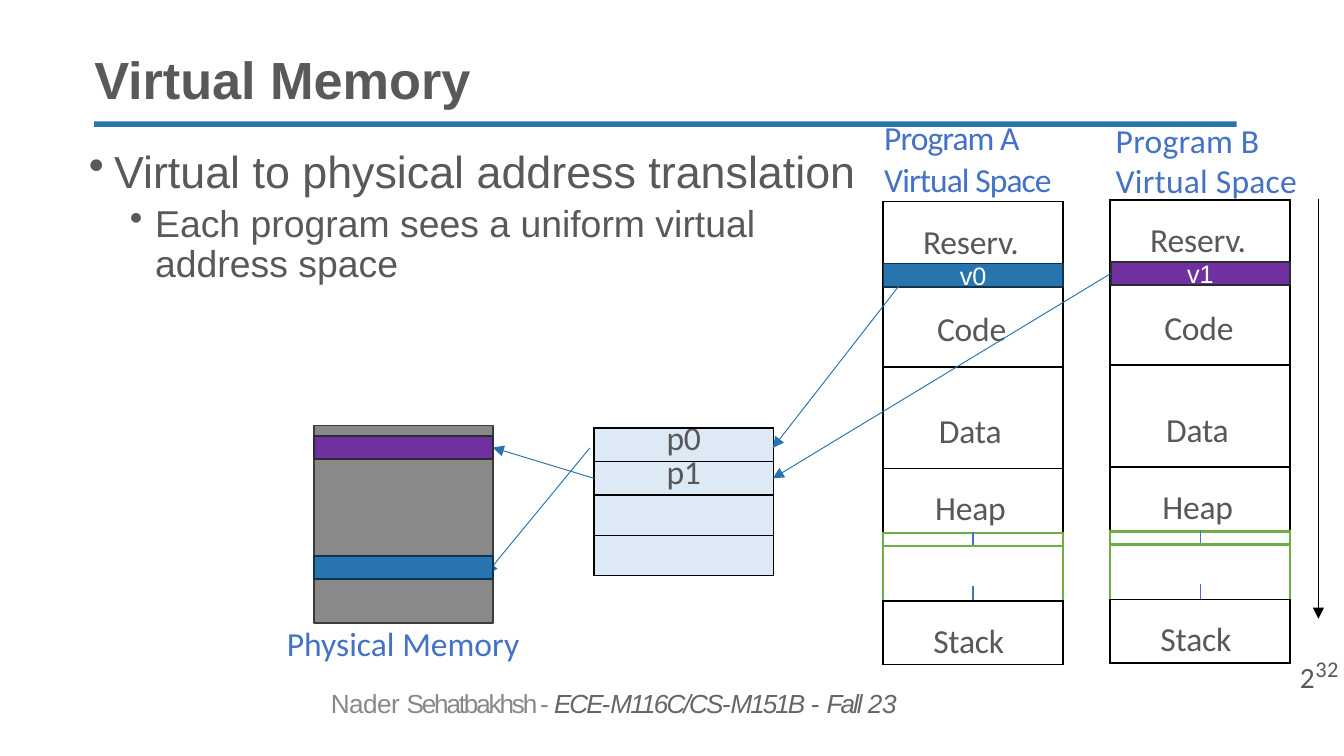
import pptx
import pptx.dml.color
import pptx.enum.shapes
import pptx.enum.text
import pptx.oxml
import pptx.oxml.ns
import pptx.util
from pptx.util import Pt

GREY, INK, BLUE, PURPLE, LABEL = "58595B", "57585B", "2774AE", "7030A0", "4472C4"
BLACK, GREEN = "000000", "70AD47"
BAR_LINES = {BLUE: "11334C", PURPLE: "2B2C2E"}
BAR_HEIGHT = 12.4

# height, label, label left, label top, outer colour, top colour, bottom colour, middle colour
SEGMENTS = [
    (34, "Reserv.", 21.5, 11, BLACK, BLACK, BLACK, None),
    (54.5, "Code", 29, 24, BLACK, BLACK, BLACK, None),
    (54.5, "Data", 30, 24, BLACK, BLACK, BLACK, None),
    (34.5, "Heap", 28, 11, BLACK, BLACK, GREEN, None),
    (7, "", 0, 0, GREEN, GREEN, GREEN, LABEL),
    (21.5, "", 0, 0, GREEN, GREEN, None, None),
    (8, "", 0, 0, GREEN, None, BLACK, LABEL),
    (34, "Stack", 27, 11, BLACK, BLACK, BLACK, None),
]


def rgb(value):
    """Turn a hex string into a colour."""
    return pptx.dml.color.RGBColor.from_string(value)


def format_run(run, size, name, color, spacing=0, bold=False, italic=False):
    """Give a run its font, colour and letter spacing."""
    run.font.size, run.font.name = Pt(size), name
    run.font.bold, run.font.italic = bold, italic
    run.font.color.rgb = rgb(color)
    if spacing:
        run._r.get_or_add_rPr().set("spc", str(round(spacing * 100)))


def set_margins(target, left=0, top=0, right=0, bottom=0):
    """Set the four insets of a text frame or a cell."""
    target.margin_left, target.margin_top = Pt(left), Pt(top)
    target.margin_right, target.margin_bottom = Pt(right), Pt(bottom)


def add_text(slide, left, top, width, height, text="", size=18, spacing=0, wrap=True):
    """Add a label box and return its text frame."""
    frame = slide.shapes.add_textbox(Pt(left), Pt(top), Pt(width), Pt(height)).text_frame
    frame.word_wrap = wrap
    set_margins(frame, left=0.7, top=0.7)
    frame.text = text
    for index, paragraph in enumerate(frame.paragraphs):
        paragraph.space_before = Pt(min(index, 1))
        for run in paragraph.runs:
            format_run(run, size, "Calibri", LABEL, spacing)
    return frame


def add_box(slide, left, top, width, height, fill, line=None):
    """Add a flat rectangle."""
    shape = slide.shapes.add_shape(
        pptx.enum.shapes.MSO_SHAPE.RECTANGLE, Pt(left), Pt(top), Pt(width), Pt(height))
    shape.shadow.inherit = False
    shape.fill.solid()
    shape.fill.fore_color.rgb = rgb(fill)
    if line:
        shape.line.color.rgb = rgb(line)
        shape.line.width = Pt(1)
    else:
        shape.line.fill.background()
    return shape


def add_page(slide, left, top, fill, text=""):
    """Add the coloured bar of one memory page."""
    shape = add_box(slide, left, top, 96, BAR_HEIGHT, fill, BAR_LINES[fill])
    if text:
        frame = shape.text_frame
        set_margins(frame)
        frame.vertical_anchor = pptx.enum.text.MSO_ANCHOR.MIDDLE
        frame.text = text
        frame.paragraphs[0].alignment = pptx.enum.text.PP_ALIGN.CENTER
        format_run(frame.paragraphs[0].runs[0], 13.5, "Arial", "FFFFFF")
    return shape


def add_arrow(slide, start, end, color=BLUE, width=0.5):
    """Add a straight arrow between two points."""
    connector = slide.shapes.add_connector(
        pptx.enum.shapes.MSO_CONNECTOR.STRAIGHT, *[Pt(value) for value in start + end])
    connector.line.color.rgb = rgb(color)
    connector.line.width = Pt(width)
    line = connector.line._get_or_add_ln()
    pptx.oxml.ns.qn("a:tailEnd")
    line.append(pptx.oxml.parse_xml(
        f'<a:tailEnd {pptx.oxml.ns.nsdecls("a")} type="triangle"/>'))
    connector._element.spPr.append(pptx.oxml.parse_xml(
        f'<a:effectLst {pptx.oxml.ns.nsdecls("a")}/>'))
    return connector


def set_cell(cell, borders, fill=None):
    """Set a cell's left, right, top and bottom borders, its fill and no insets."""
    properties = cell._tc.get_or_add_tcPr()
    for side, color in zip("LRTB", borders):
        paint = f'<a:solidFill><a:srgbClr val="{color}"/></a:solidFill>' if color else "<a:noFill/>"
        width = Pt(1.5 if color == GREEN and side in "TB" else 0.75 if color == LABEL else 1)
        properties.append(pptx.oxml.parse_xml(
            f'<a:ln{side} {pptx.oxml.ns.nsdecls("a")} w="{width}">{paint}</a:ln{side}>'))
    if fill:
        cell.fill.solid()
        cell.fill.fore_color.rgb = rgb(fill)
    else:
        cell.fill.background()
    set_margins(cell)
    cell.text_frame.paragraphs[0]._p.get_or_add_endParaRPr().set("sz", "100")


def add_grid(slide, left, top, width, heights, columns):
    """Add a plain table with the given row heights."""
    table = slide.shapes.add_table(
        len(heights), columns, Pt(left), Pt(top), Pt(width), Pt(sum(heights))).table
    table.first_row = table.horz_banding = False
    for row, height in zip(table.rows, heights):
        row.height = Pt(height)
    return table


def draw_program(slide, left, top, page_text, page_fill):
    """Draw a program's virtual space and return its page bar."""
    table = add_grid(slide, left, top, 96.5, [segment[0] for segment in SEGMENTS], 2)
    for index, (_, text, indent, drop, outer, above, below, middle) in enumerate(SEGMENTS):
        first, second = table.cell(index, 0), table.cell(index, 1)
        set_cell(first, (outer, middle or outer, above, below))
        set_cell(second, (middle, outer, above, below))
        if not middle:
            first.merge(second)
        if text:
            first.text = text
            set_margins(first, left=indent, top=drop)
            format_run(first.text_frame.paragraphs[0].runs[0], 18, "Calibri", INK, -0.1)
    return add_page(slide, left + 0.3, top + 33.2, page_fill, page_text)


def draw_page_table(slide, left, top):
    """Draw the table of physical pages."""
    table = add_grid(slide, left, top, 96, [18, 18, 21.5, 21.5], 1)
    for index, text in enumerate(["p0", "p1", "", ""]):
        cell = table.cell(index, 0)
        set_cell(cell, [BLACK] * 4, "DDEAF6")
        if text:
            cell.text = text
            paragraph = cell.text_frame.paragraphs[0]
            paragraph.alignment = pptx.enum.text.PP_ALIGN.CENTER
            paragraph.line_spacing = Pt(17)
            format_run(paragraph.runs[0], 18, "Calibri", INK, -0.2)


def draw_physical_memory(slide, left, top):
    """Draw the physical memory with its caption and return the upper page."""
    add_box(slide, left, top, 96, 106, "898989", "3C3C3C")
    add_text(slide, left - 15, top + 105, 136, 23, "Physical Memory")
    return add_page(slide, left, top + 5.6, PURPLE)


def draw_title(slide, left, top, width):
    """Place the title and the rule below it."""
    add_box(slide, left, top + 36, width, 3, BLUE)
    title = slide.shapes.title
    title.left, title.top, title.width, title.height = Pt(left), Pt(top), Pt(width), Pt(30.5)
    frame = title.text_frame
    set_margins(frame)
    frame.vertical_anchor = pptx.enum.text.MSO_ANCHOR.BOTTOM
    frame.text = "Virtual Memory"
    paragraph = frame.paragraphs[0]
    paragraph.alignment = pptx.enum.text.PP_ALIGN.LEFT
    paragraph.line_spacing = 0.9
    format_run(paragraph.runs[0], 28, "Arial", GREY, bold=True)


def draw_bullets(slide, left, top, width, height):
    """Write the two levels of bullets."""
    frame = add_text(slide, left, top, width, height, "Virtual to physical address translation\n"
                     "Each program sees a uniform virtual address space")
    set_margins(frame, 7.2, 3.6, 7.2, 3.6)
    for level, (paragraph, indent, size) in enumerate(zip(frame.paragraphs, (13.5, 35.5), (24, 20))):
        properties = paragraph._p.get_or_add_pPr()
        properties.set("marL", str(Pt(indent)))
        properties.set("indent", str(Pt(-13.5)))
        properties.append(pptx.oxml.parse_xml(
            f'<a:buChar {pptx.oxml.ns.nsdecls("a")} char="•"/>'))
        paragraph.level, paragraph.line_spacing = level, 0.9
        paragraph.space_before = Pt(3.8 * level)
        format_run(paragraph.runs[0], size, "Arial", GREY)


def draw_footer(slide, left, top, width, height):
    """Write the course line."""
    frame = add_text(slide, left, top, width, height)
    frame.margin_top = Pt(2)
    for text, spacing, italic in [
            ("Nader ", -0.3, False), ("Sehatbakhsh - ", -1.2, False), ("ECE-", -1.1, True),
            ("M116C/CS-", -1, True), ("M151B ", -1.1, True), ("- ", 0, True),
            ("Fall ", -1.1, True), ("23", -0.2, True)]:
        run = frame.paragraphs[0].add_run()
        run.text = text
        format_run(run, 14, "Arial", "666666" if italic else "888888", spacing, italic=italic)


def draw_address_axis(slide, left, top, height):
    """Draw the address arrow and its upper limit."""
    add_arrow(slide, (left, top), (left, top + height), BLACK, 0.75)
    frame = add_text(slide, left - 13, top + height + 3.5, 27, 24, wrap=False)
    frame.margin_left = Pt(3)
    for text, size, spacing in [("2", 27, 0.4), ("32", 12, 0.3)]:
        run = frame.paragraphs[0].add_run()
        run.text = text
        format_run(run, size, "Calibri", INK, spacing)
    frame.paragraphs[0].runs[0]._r.get_or_add_rPr().set("baseline", "-22000")


def main():
    """Build the slide and save it."""
    presentation = pptx.Presentation()
    presentation.slide_width, presentation.slide_height = Pt(720), Pt(405)
    slide = presentation.slides.add_slide(presentation.slide_layouts[5])
    draw_title(slide, 50.5, 29, 612)
    draw_bullets(slide, 40.5, 76.5, 431, 236)
    draw_footer(slide, 176.5, 366, 328, 19)
    draw_program(slide, 473, 108, "v0", BLUE)
    add_text(slide, 473, 62, 98, 45, "Program A\nVirtual Space", spacing=-0.5)
    page_b = draw_program(slide, 594.7, 107.2, "v1", PURPLE)
    add_text(slide, 597, 63.4, 104, 45, "Program B Virtual Space", spacing=0.1)
    draw_address_axis(slide, 706.3, 106.5, 225)
    draw_page_table(slide, 318.3, 229.3)
    add_arrow(slide, (486, 147.5), (414, 240))
    add_arrow(slide, (595, 147), (414, 256.3)).begin_connect(page_b, 1)
    upper_page = draw_physical_memory(slide, 168, 228)
    add_arrow(slide, (316, 240), (260.5, 307.5))
    add_arrow(slide, (318.3, 256.3), (264, 240)).end_connect(upper_page, 3)
    add_page(slide, 168, 298, BLUE)
    presentation.save("out.pptx")


if __name__ == "__main__":
    main()
